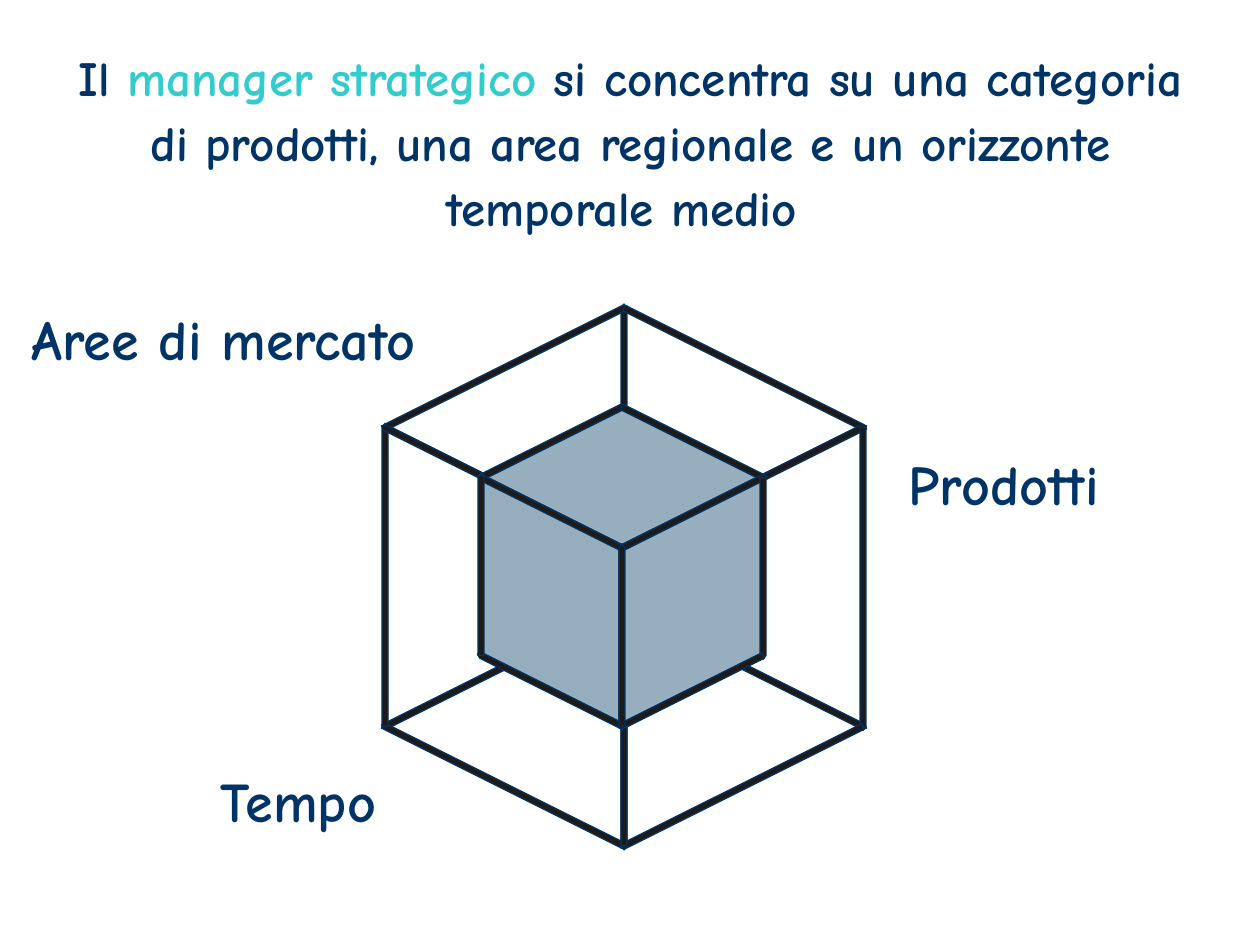
import math

import pptx
import pptx.dml.color
import pptx.enum.text
import pptx.util

EMU_PER_PX = 914400 / 126
NAVY, TURQUOISE, INK, STEEL = "003366", "33CCCC", "1F1A17", "96AEBE"
EDGE_HALF_WIDTH = 3
EDGE_TIP = 4


def px(length):
    return round(length * EMU_PER_PX)


def color(hex_string):
    return pptx.dml.color.RGBColor.from_string(hex_string)


def set_attributes(target, values):
    for name, value in values.items():
        setattr(target, name, value)


def add_text(slide, box, runs, size, wrap=False, **paragraph_format):
    """Add one paragraph made of (text, colour) runs."""
    frame = slide.shapes.add_textbox(*map(px, box)).text_frame
    set_attributes(frame, {
        "margin_left": 0, "margin_top": 0, "margin_right": 0, "margin_bottom": 0,
        "word_wrap": wrap,
        "auto_size": pptx.enum.text.MSO_AUTO_SIZE.SHAPE_TO_FIT_TEXT,
    })
    paragraph = frame.paragraphs[0]
    set_attributes(paragraph, paragraph_format)
    for words, hue in runs:
        run = paragraph.add_run()
        run.text = words
        set_attributes(run.font, {
            "name": "Comic Neue", "size": pptx.util.Pt(size), "bold": True})
        run.font.color.rgb = color(hue)


def add_polygon(slide, points, fill):
    start, *others = [(px(x), px(y)) for x, y in points]
    builder = slide.shapes.build_freeform(*start)
    builder.add_line_segments(others, close=True)
    polygon = builder.convert_to_shape()
    polygon.shadow.inherit = False
    polygon.fill.solid()
    polygon.fill.fore_color.rgb = color(fill)
    polygon.line.color.rgb = color(NAVY)
    polygon.line.width = pptx.util.Pt(0.75)


def add_edge(slide, start, end):
    """Draw a bar whose far end is pointed, so that it closes the corner."""
    (x1, y1), (x2, y2) = start, end
    length = math.dist(start, end)
    along_x, along_y = (x2 - x1) / length, (y2 - y1) / length
    side_x, side_y = -along_y * EDGE_HALF_WIDTH, along_x * EDGE_HALF_WIDTH
    tip = (x2 + along_x * EDGE_TIP, y2 + along_y * EDGE_TIP)
    add_polygon(slide, [
        (x1 + side_x, y1 + side_y), (x2 + side_x, y2 + side_y), tip,
        (x2 - side_x, y2 - side_y), (x1 - side_x, y1 - side_y)], INK)


def cube_corners(center_x, center_y, half_width, height):
    """Corners of a cube whose slanted edges rise 1 for every 2 across."""
    rise = half_width / 2
    left, right = center_x - half_width, center_x + half_width
    upper, top = center_y - rise, center_y - 2 * rise
    return {
        "front": (center_x, center_y), "top": (center_x, top),
        "left": (left, upper), "right": (right, upper),
        "low_left": (left, upper + height), "low_right": (right, upper + height),
        "bottom": (center_x, center_y + height), "back": (center_x, top + height),
    }


def add_face(slide, corners, names, fill=None):
    points = [corners[name] for name in names]
    if fill:
        add_polygon(slide, points, fill)
    for start, end in zip(points, points[1:] + points[:1]):
        add_edge(slide, start, end)


def main():
    deck = pptx.Presentation()
    set_attributes(deck, {"slide_width": px(1260), "slide_height": px(945)})
    slide = deck.slides.add_slide(deck.slide_layouts[6])

    # Heading
    add_text(slide, (53, 42, 1155, 194), [
        ("Il ", NAVY),
        ("manager strategico", TURQUOISE),
        (" si concentra su una categoria di prodotti, una area regionale "
         "e un orizzonte temporale medio ", NAVY),
    ], 28, wrap=True, alignment=pptx.enum.text.PP_ALIGN.CENTER, line_spacing=1.1)

    top_face = ("left", "top", "right", "front")
    left_face = ("left", "front", "bottom", "low_left")
    right_face = ("front", "right", "low_right", "bottom")

    # Open outer cube, hidden edges first
    outer = cube_corners(624, 547, 239, 299)
    for name in ("low_right", "low_left", "top"):
        add_edge(slide, outer["back"], outer[name])
    for face in (left_face, top_face, right_face):
        add_face(slide, outer, face)

    # Solid inner cube
    inner = cube_corners(622, 548, 141, 178)
    for face in (top_face, left_face, right_face):
        add_face(slide, inner, face, STEEL)

    # Axis labels
    for label, box, wrap in (
        ("Tempo", (221, 766, 174, 67), False),
        ("Prodotti", (909, 450, 217, 67), False),
        ("Aree di mercato", (32, 305, 460, 67), True),
    ):
        add_text(slide, box, [(label, NAVY)], 32, wrap)

    deck.save("out.pptx")


if __name__ == "__main__":
    main()
